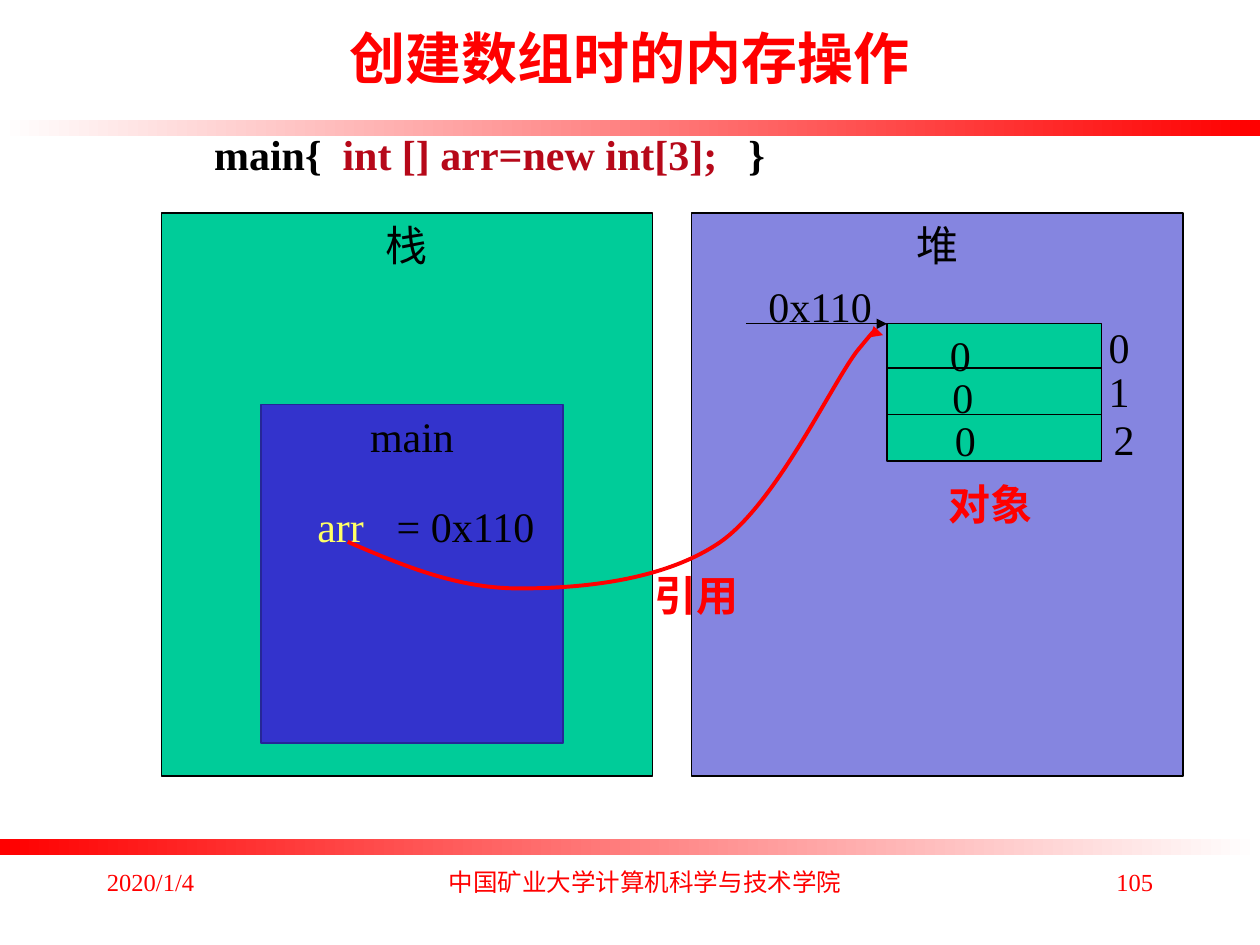
from dataclasses import dataclass

from lxml import etree
from pptx import Presentation
from pptx import util as u
from pptx.dml.color import RGBColor
from pptx.enum import shapes, text
from pptx.oxml import ns


@dataclass(frozen=True)
class Theme:
    latin: str = "Times New Roman"
    chinese: str = "Noto Sans CJK SC"
    title: int = 32
    body: int = 24
    footer: int = 14
    red: str = "FF0000"
    white: str = "FFFFFF"
    black: str = "000000"
    code: str = "B60819"
    green: str = "00CC99"
    lilac: str = "8585E0"
    blue: str = "3333CC"
    blue_edge: str = "262697"
    yellow: str = "FFFF66"


THEME = Theme()
ALIGN = text.PP_ALIGN

# Rules across the slide: top, colour at the left, colour at the right
BARS = [(0.95, THEME.white, THEME.red), (6.66, THEME.red, THEME.white)]

# Memory areas: words, (left, top, width, height), fill, line colour, line width
AREAS = [
    ("栈", (1.28, 1.69, 3.9, 4.47), THEME.green, THEME.black, 0.75),
    ("堆", (5.49, 1.69, 3.9, 4.47), THEME.lilac, THEME.black, 0.75),
    ("main", (2.07, 3.21, 2.4, 2.69), THEME.blue, THEME.blue_edge, 1),
]

# Array cells: top, (value, its left, its top), (index, its left, its top)
CELL_LEFT, CELL_WIDTH, CELL_HEIGHT = 7.04, 1.7, 0.37
CELLS = [
    (2.57, ("0", 7.44, 2.57), ("0", 8.7, 2.5)),
    (2.92, ("0", 7.46, 2.9), ("1", 8.7, 2.85)),
    (3.29, ("0", 7.48, 3.24), ("2", 8.74, 3.23)),
]

# Code line: words and colour; the tab stops set the gaps
CODE = [("main{\t", THEME.black), ("int [] arr=new int[3];\t", THEME.code), ("}", THEME.black)]
CODE_TABS = [1.02, 4.24]

# Labels: words, (left, top, width, height), colour, bold
LABELS = [
    ("arr", (2.42, 3.92, 0.63, 0.5), THEME.yellow, False),
    ("= 0x110", (3.05, 3.92, 1.41, 0.5), THEME.black, False),
    ("0x110", (6, 2.18, 1.11, 0.5), THEME.black, False),
    ("引用", (5.1, 4.47, 1.1, 0.5), THEME.red, True),
    ("对象", (7.43, 3.75, 1.1, 0.5), THEME.red, True),
]

FOOTERS = [
    ("2020/1/4", 0.75, 2.08, ALIGN.LEFT, THEME.latin),
    ("中国矿业大学计算机科学与技术学院", 3.42, 3.4, ALIGN.CENTER, THEME.chinese),
    ("105", 7.17, 2.08, ALIGN.RIGHT, THEME.latin),
]

# Start point, then three Bezier points for each curve
REFERENCE = [
    (2.76, 4.3),
    (3.2, 4.49), (3.63, 4.67), (4.12, 4.67),
    (4.61, 4.67), (5.27, 4.61), (5.72, 4.3),
    (6.16, 3.99), (6.59, 3.07), (6.8, 2.79),
    (7.02, 2.52), (7.01, 2.66), (7.01, 2.66),
]


def colour(value):
    return RGBColor.from_string(value)


def inches(values):
    return [u.Inches(value) for value in values]


def child(parent, tag, **attributes):
    return etree.SubElement(parent, ns.qn(tag), **attributes)


def write(shape, spans, size=THEME.body, align=ALIGN.LEFT, anchor=text.MSO_ANCHOR.TOP,
          bold=False, font=THEME.latin, wrap=True, tabs=()):
    """Fill a shape with one paragraph of (words, colour) spans."""
    frame = shape.text_frame
    frame.word_wrap = wrap
    frame.vertical_anchor = anchor
    para = frame.paragraphs[0]
    para.alignment = align
    if tabs:
        stops = child(para._p.get_or_add_pPr(), "a:tabLst")
        for stop in tabs:
            child(stops, "a:tab", pos=str(u.Inches(stop)), algn="l")
    for words, ink in spans:
        span = para.add_run()
        span.text = words
        span.font.size = u.Pt(size)
        span.font.bold = bold
        span.font.name = font
        span.font.color.rgb = colour(ink)
        child(span._r.get_or_add_rPr(), "a:ea", typeface=THEME.chinese)


def add_text(slide, at, spans, **style):
    write(slide.shapes.add_textbox(*inches(at)), spans, **style)


def add_box(slide, at, fill, line, width):
    box = slide.shapes.add_shape(shapes.MSO_SHAPE.RECTANGLE, *inches(at))
    box.shadow.inherit = False
    box.fill.solid()
    box.fill.fore_color.rgb = colour(fill)
    box.line.color.rgb = colour(line)
    box.line.width = u.Pt(width)
    return box


def add_bar(slide, top, left_ink, right_ink):
    bar = slide.shapes.add_shape(shapes.MSO_SHAPE.RECTANGLE, *inches((0, top, 10, 0.13)))
    bar.shadow.inherit = False
    bar.line.fill.background()
    bar.fill.gradient()
    bar.fill.gradient_angle = 0
    for stop, ink, position in zip(bar.fill.gradient_stops, (left_ink, right_ink), (0, 1)):
        stop.color.rgb = colour(ink)
        stop.position = position


def style_arrow(arrow, ink, width):
    arrow.line.color.rgb = colour(ink)
    arrow.line.width = u.Pt(width)
    child(arrow.line._get_or_add_ln(), "a:tailEnd", type="triangle")


def add_address_arrow(slide):
    arrow = slide.shapes.add_connector(
        shapes.MSO_CONNECTOR.STRAIGHT, *inches((5.92, 2.57, CELL_LEFT, 2.57)))
    style_arrow(arrow, THEME.black, 0.75)
    child(arrow._element.spPr, "a:effectLst")


def add_reference(slide, points):
    """Draw the points as a freeform, turning each three line steps into one curve."""
    start, *rest = [inches(point) for point in points]
    builder = slide.shapes.build_freeform(*start)
    builder.add_line_segments(rest, close=False)
    curve = builder.convert_to_shape()
    curve.shadow.inherit = False
    curve.fill.background()
    style_arrow(curve, THEME.red, 2.25)
    steps = list(curve._element.iter(ns.qn("a:lnTo")))
    outline = steps[0].getparent()
    for first in range(0, len(steps), 3):
        bezier = child(outline, "a:cubicBezTo")
        for step in steps[first:first + 3]:
            bezier.append(step[0])
            outline.remove(step)


def main():
    deck = Presentation()
    deck.slide_width, deck.slide_height = inches((10, 7.5))
    slide = deck.slides.add_slide(deck.slide_layouts[6])

    for bar in BARS:
        add_bar(slide, *bar)
    add_text(slide, (0.75, -0.17, 8.5, 1.25), [("创建数组时的内存操作", THEME.red)],
             size=THEME.title, bold=True, align=ALIGN.CENTER, anchor=text.MSO_ANCHOR.MIDDLE)
    for words, left, width, align, font in FOOTERS:
        add_text(slide, (left, 6.83, width, 0.5), [(words, THEME.red)],
                 size=THEME.footer, align=align, font=font)

    for words, at, fill, line, width in AREAS:
        write(add_box(slide, at, fill, line, width), [(words, THEME.black)],
              align=ALIGN.CENTER, wrap=False)
    add_text(slide, (1.6, 0.97, 6.18, 0.5), CODE, bold=True, tabs=CODE_TABS)

    for top, *_ in CELLS:
        add_box(slide, (CELL_LEFT, top, CELL_WIDTH, CELL_HEIGHT), THEME.green, THEME.black, 0.75)
    for _, *numbers in CELLS:
        for (words, left, top), width in zip(numbers, (0.77, 1.11)):
            add_text(slide, (left, top, width, 0.5), [(words, THEME.black)])

    add_address_arrow(slide)
    for words, at, ink, bold in LABELS:
        add_text(slide, at, [(words, ink)], bold=bold)
    add_reference(slide, REFERENCE)

    deck.save("out.pptx")


if __name__ == "__main__":
    main()
